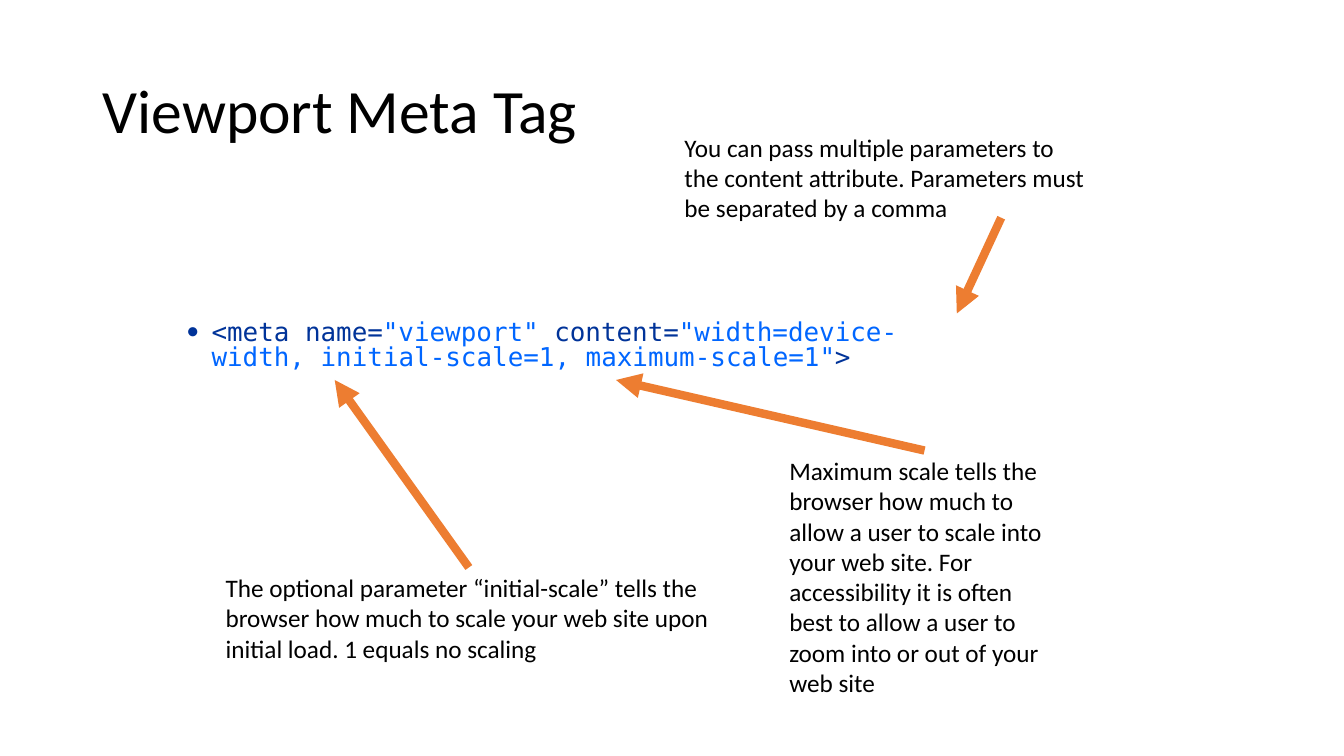
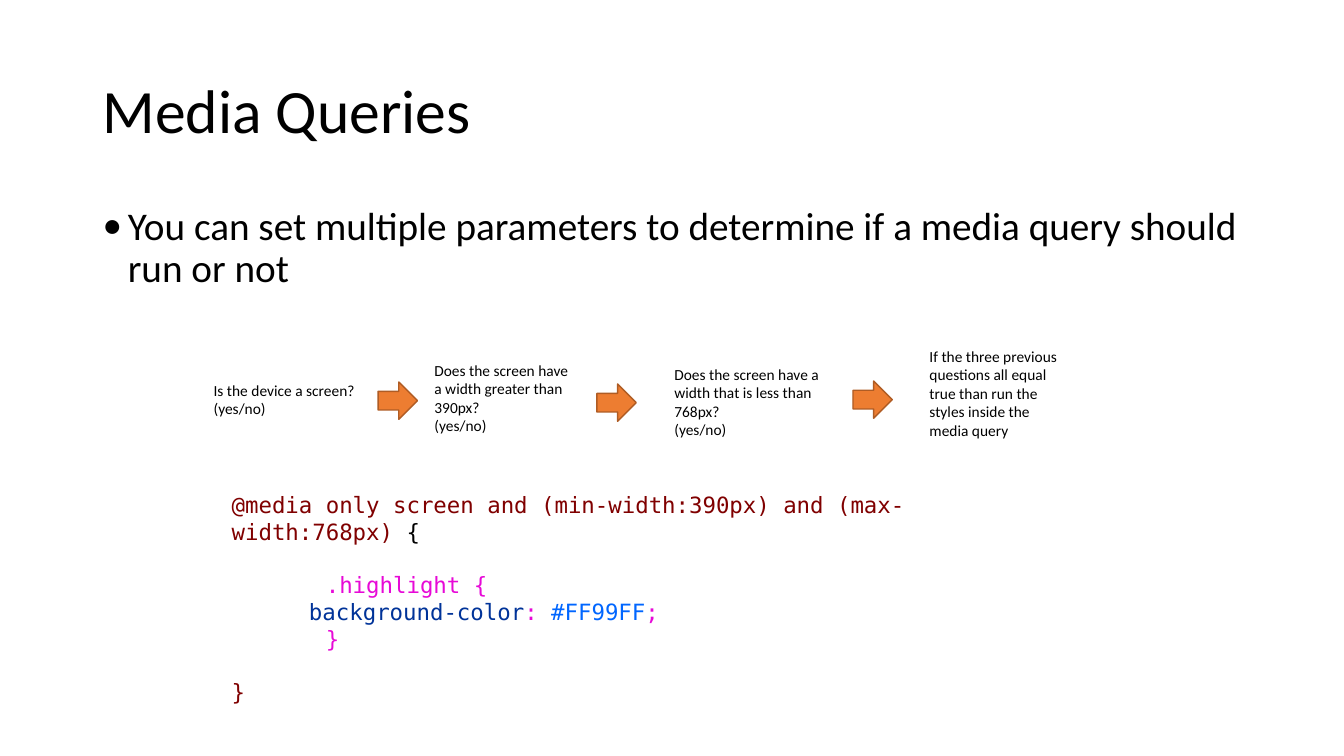
from lxml.etree import SubElement
from pptx import Presentation
from pptx.dml.color import RGBColor
from pptx.enum.shapes import MSO_CONNECTOR, MSO_SHAPE
from pptx.enum.text import MSO_ANCHOR, MSO_AUTO_SIZE
from pptx.oxml.ns import qn
from pptx.util import Emu, Pt

SCALE = 9144  # EMU per px, 100 px to the inch


def px(*sizes):
    return [Emu(size * SCALE) for size in sizes]


def rgb(code):
    return RGBColor.from_string(code)


class Deck:
    FONT, MONO = "Calibri", "DejaVu Sans Mono"
    BLACK, ORANGE, RUST = "000000", "ED7D31", "AF5C24"
    NAVY, BLUE, MAROON, PINK = "003399", "0066FF", "800000", "E709D7"

    def __init__(self):
        self.prs = Presentation()
        self.prs.slide_width, self.prs.slide_height = px(1333, 750)

    def page(self, title):
        """Start a slide and set its title."""
        self.slide = self.prs.slides.add_slide(self.prs.slide_layouts[6])
        frame = self.text((92, 40, 1150, 145), [title], 44, grow=False)
        frame.vertical_anchor = MSO_ANCHOR.MIDDLE
        frame.paragraphs[0].line_spacing = 0.9

    def text(self, box, lines, size, font=FONT, grow=True):
        """Each line is a string or a list of (text, colour) runs."""
        frame = self.slide.shapes.add_textbox(*px(*box)).text_frame
        frame.word_wrap = True
        frame.auto_size = MSO_AUTO_SIZE.SHAPE_TO_FIT_TEXT if grow else MSO_AUTO_SIZE.NONE
        for i, line in enumerate(lines):
            para = frame.add_paragraph() if i else frame.paragraphs[0]
            runs = [(line, self.BLACK)] if isinstance(line, str) else line
            for words, color in runs:
                run = para.add_run()
                run.text = words
                run.font.name = font
                run.font.size = Pt(size)
                run.font.color.rgb = rgb(color)
        return frame

    def bullet(self, box, line, size, font=FONT, spacing=0.9):
        frame = self.text(box, [line], size, font, grow=False)
        para = frame.paragraphs[0]
        para.line_spacing = spacing
        props = para._p.get_or_add_pPr()
        indent = 25 * SCALE
        props.set("marL", str(indent))
        props.set("indent", str(-indent))
        SubElement(props, qn("a:buFont"), typeface=self.FONT)
        SubElement(props, qn("a:buChar"), char="•")

    def pointer(self, start, end):
        line = self.slide.shapes.add_connector(
            MSO_CONNECTOR.STRAIGHT, *px(*start, *end))
        line.line.color.rgb = rgb(self.ORANGE)
        line.line.width = Pt(6)
        SubElement(line.line._get_or_add_ln(), qn("a:tailEnd"), type="triangle")
        SubElement(line._element.spPr, qn("a:effectLst"))

    def arrow(self, left, top):
        shape = self.slide.shapes.add_shape(
            MSO_SHAPE.RIGHT_ARROW, *px(left, top, 39, 37))
        shape.shadow.inherit = False
        shape.fill.solid()
        shape.fill.fore_color.rgb = rgb(self.ORANGE)
        shape.line.color.rgb = rgb(self.RUST)
        shape.line.width = Pt(1)


def viewport(deck):
    deck.page("Viewport Meta Tag")
    deck.bullet((175, 314, 796, 63), [
        ("<meta name=", deck.NAVY),
        ('"viewport" ', deck.BLUE),
        ("content=", deck.NAVY),
        ('"width=device-width, initial-scale=1, maximum-scale=1"', deck.BLUE),
        (">", deck.NAVY),
    ], 18.5, deck.MONO, 0.8)
    notes = [
        ((669, 126, 418, 101), (993, 216), (949, 311),
         "You can pass multiple parameters to the content attribute. "
         "Parameters must be separated by a comma"),
        ((214, 563, 503, 101), (465, 563), (332, 377),
         "The optional parameter “initial-scale” tells the browser how much "
         "to scale your web site upon initial load. 1 equals no scaling"),
        ((773, 447, 289, 252), (917, 447), (611, 377),
         "Maximum scale tells the browser how much to allow a user to scale "
         "into your web site. For accessibility it is often best to allow a "
         "user to zoom into or out of your web site"),
    ]
    for box, start, end, words in notes:
        deck.text(box, [words], 18)
        deck.pointer(start, end)


def queries(deck):
    deck.page("Media Queries")
    deck.bullet((92, 200, 1150, 113),
                "You can set multiple parameters to determine if a media "
                "query should run or not", 28)
    steps = [
        ((202, 373, 175, 47), ["Is the device a screen? (yes/no)"]),
        ((421, 353, 162, 84),
         ["Does the screen have a width greater than 390px?", "(yes/no)"]),
        ((659, 357, 173, 84),
         ["Does the screen have a width that is less than 768px?", "(yes/no)"]),
        ((912, 339, 149, 121),
         ["If the three previous questions all equal true than run the "
          "styles inside the media query"]),
    ]
    for box, lines in steps:
        deck.text(box, lines, 11)
    for spot in [(375, 379), (592, 381), (846, 378)]:
        deck.arrow(*spot)
    code = deck.text((220, 482, 806, 199), [
        [("@media only screen and (min-width:390px) and (max-width:768px) ",
          deck.MAROON), ("{", deck.BLACK)],
        [("       .highlight {", deck.PINK)],
        [("\t  background-color", deck.NAVY), (": ", deck.PINK),
         ("#FF99FF", deck.BLUE), (";", deck.PINK)],
        [("       }", deck.PINK)],
        [("}", deck.MAROON)],
    ], 16, deck.MONO)
    for row in (1, 4):
        code.paragraphs[row].space_before = Pt(19)


def main():
    deck = Deck()
    viewport(deck)
    queries(deck)
    deck.prs.save("out.pptx")


if __name__ == "__main__":
    main()
